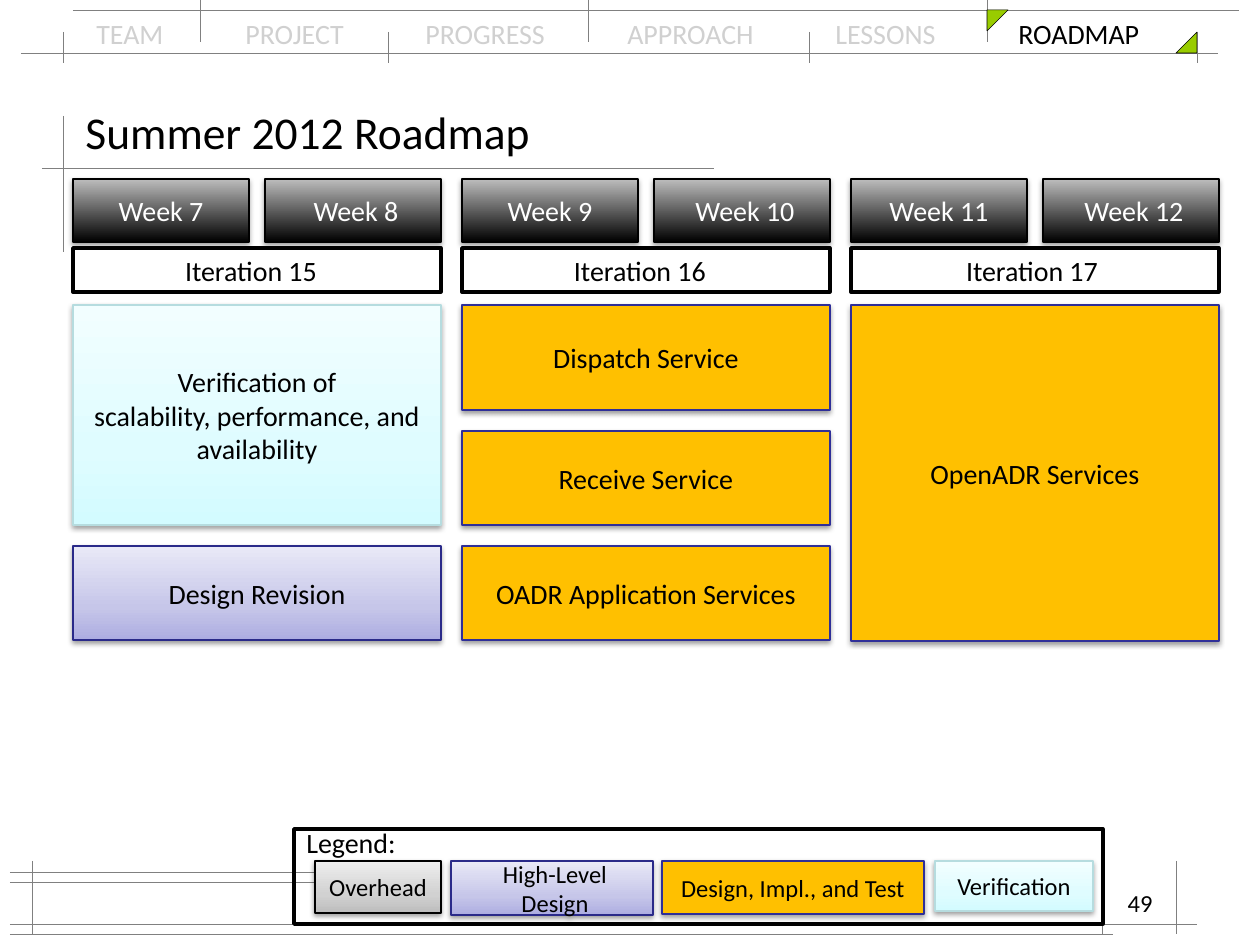
from copy import deepcopy
from dataclasses import dataclass

from lxml import etree
from pptx import Presentation
from pptx.dml.color import RGBColor
from pptx.enum.shapes import MSO_CONNECTOR, MSO_SHAPE
from pptx.enum.text import MSO_ANCHOR, PP_ALIGN
from pptx.oxml.ns import qn
from pptx.util import Emu, Pt


@dataclass(frozen=True)
class Theme:
    font: str = "Calibri"
    title: int = 26
    body: int = 16
    small: int = 14
    ink: str = "000000"
    paper: str = "FFFFFF"
    muted: str = "D0D0D0"
    rule: str = "808080"
    accent: str = "99CC00"


THEME = Theme()
STYLES = {
    "week": ([(0, "000000"), (1, "BDBDBD")], "000000", 0.75, THEME.paper),
    "iteration": (THEME.paper, THEME.ink, 2, THEME.ink),
    "frame": (None, THEME.ink, 2, THEME.ink),
    "overhead": ([(0, "BDBDBD"), (0.35, "D1D1D1"), (1, "EEEEEE")], "000000", 0.75, THEME.ink),
    "design": ([(0, "ADADE1"), (0.35, "C6C6E9"), (1, "E9E9F7")], "2A2A89", 0.75, THEME.ink),
    "build": ("FFC000", "2F2F98", 0.75, THEME.ink),
    "verify": ([(0, "D3FBFF"), (0.35, "DFFCFF"), (1, "F2FEFF")], "B6DCDF", 0.75, THEME.ink),
}
FLAT = ("iteration", "frame")

SECTIONS = [("TEAM", 0), ("PROJECT", 149), ("PROGRESS", 329),
            ("APPROACH", 531), ("LESSONS", 739), ("ROADMAP", 922)]
CURRENT_SECTION = "ROADMAP"
HORIZONTAL_RULES = [(53, 21, 1218), (10, 73, 1239), (168, 42, 714), (882, 10, 388),
                    (924, 10, 1197), (872, 10, 336), (934, 10, 1113)]
VERTICAL_RULES = [(63, 116, 252), (32, 861, 934), (1176, 861, 934), (1102, 892, 934)]
VERTICAL_RULES += [(x, 32, 63) for x in (63, 388, 809, 1197)]
VERTICAL_RULES += [(x, 0, 42) for x in (200, 588, 987)]
CORNERS = [(987, 10, "flipV"), (1176, 32, "flipH")]

ITERATIONS = [
    ("Iteration 15", -6, ["Week 7", "Week 8"], [
        ("Verification of\nscalability, performance, and availability", "verify", 305, 220),
        ("Design Revision", "design", 546, 94)]),
    ("Iteration 16", -6, ["Week 9", "Week 10"], [
        ("Dispatch Service", "build", 305, 105),
        ("Receive Service", "build", 431, 94),
        ("OADR Application Services", "build", 546, 94)]),
    ("Iteration 17", -3, ["Week 11", "Week 12"], [
        ("OpenADR Services", "build", 305, 336)]),
]
COLUMN_LEFT, COLUMN_STEP, COLUMN_WIDTH = 73, 389, 368
WEEK_STEP, WEEK_WIDTH = 192, 176
LEGEND = [("Overhead", "overhead", 315, 126, 52, 0),
          ("High-Level Design", "design", 451, 202, 54, 3),
          ("Design, Impl., and Test", "build", 662, 262, 53, 0),
          ("Verification", "verify", 935, 158, 50, 0)]
INSET = 13


def px(value):
    return Emu(round(value * 914400 / 126))


def rgb(value):
    return RGBColor.from_string(value)


def set_font(font, size, color=None):
    font.name, font.size = THEME.font, Pt(size)
    if color:
        font.color.rgb = rgb(color)


def write(frame, text, size, color, align):
    frame.text = text
    for paragraph in frame.paragraphs:
        paragraph.alignment = align
        set_font(paragraph.font, size, color)


def add_label(slide, text, box, size, align=PP_ALIGN.LEFT, anchor=MSO_ANCHOR.TOP, wrap=True):
    frame = slide.shapes.add_textbox(*map(px, box)).text_frame
    frame.word_wrap, frame.vertical_anchor = wrap, anchor
    write(frame, text, size, THEME.ink, align)


def add_rule(slide, x1, y1, x2, y2):
    rule = slide.shapes.add_connector(MSO_CONNECTOR.STRAIGHT, *map(px, (x1, y1, x2, y2)))
    rule.line.color.rgb, rule.line.width = rgb(THEME.rule), Pt(0.3)
    etree.SubElement(rule._element.spPr, qn("a:effectLst"))


def paint(shape, fill, line, width):
    shape.shadow.inherit = False
    shape.line.color.rgb, shape.line.width = rgb(line), Pt(width)
    if fill is None:
        shape.fill.background()
    elif isinstance(fill, str):
        shape.fill.solid()
        shape.fill.fore_color.rgb = rgb(fill)
    else:
        shape.fill.gradient()
        shape.fill.gradient_angle = 90
        stops = shape._element.spPr.find(qn("a:gradFill")).find(qn("a:gsLst"))
        while len(stops) < len(fill):
            stops.insert(1, deepcopy(stops[0]))
        for stop, (position, color) in zip(shape.fill.gradient_stops, fill):
            stop.position, stop.color.rgb = position, rgb(color)


def cast_shadow(shape):
    effects = shape._element.spPr.find(qn("a:effectLst"))
    shadow = etree.SubElement(effects, qn("a:outerShdw"), blurRad=str(Pt(3.1)),
                              dist=str(Pt(1.6)), dir="5400000", rotWithShape="0")
    color = etree.SubElement(shadow, qn("a:srgbClr"), val=THEME.ink)
    etree.SubElement(color, qn("a:alpha"), val="38000")


def add_block(slide, text, style, box, size=THEME.body, nudge=0):
    fill, line, width, ink = STYLES[style]
    block = slide.shapes.add_shape(MSO_SHAPE.RECTANGLE, *map(px, box))
    paint(block, fill, line, width)
    if style not in FLAT:
        cast_shadow(block)
    if text:
        frame = block.text_frame
        frame.word_wrap, frame.vertical_anchor = True, MSO_ANCHOR.MIDDLE
        frame.margin_left = px(INSET + max(2 * nudge, 0))
        frame.margin_right = px(INSET + max(-2 * nudge, 0))
        write(frame, text, size, ink, PP_ALIGN.CENTER)


def add_navigation(slide):
    frame = slide.shapes.add_textbox(*map(px, (84, 10, 1092, 47))).text_frame
    frame.word_wrap = True
    navigation = frame.paragraphs[0]
    tabs = etree.SubElement(navigation._p.get_or_add_pPr(), qn("a:tabLst"))
    for _, stop in SECTIONS[1:]:
        etree.SubElement(tabs, qn("a:tab"), pos=str(px(stop)), algn="l")
    set_font(navigation.font, THEME.body)
    for name, stop in SECTIONS:
        section = navigation.add_run()
        section.text = f"\t{name}" if stop else name
        section.font.color.rgb = rgb(THEME.ink if name == CURRENT_SECTION else THEME.muted)
    for y, x1, x2 in HORIZONTAL_RULES:
        add_rule(slide, x1, y, x2, y)
    for x, y1, y2 in VERTICAL_RULES:
        add_rule(slide, x, y1, x, y2)
    for x, y, flip in CORNERS:
        corner = slide.shapes.add_shape(MSO_SHAPE.RIGHT_TRIANGLE, *map(px, (x, y, 21, 21)))
        paint(corner, THEME.accent, THEME.ink, 0.3)
        corner._element.spPr.xfrm.set(flip, "1")


def add_roadmap(slide):
    for column, (iteration, nudge, weeks, tasks) in enumerate(ITERATIONS):
        left = COLUMN_LEFT + column * COLUMN_STEP
        for i, week in enumerate(weeks):
            add_block(slide, week, "week", (left + i * WEEK_STEP, 179, WEEK_WIDTH, 63), nudge=3 * i)
        add_block(slide, iteration, "iteration", (left, 248, COLUMN_WIDTH, 44), nudge=nudge)
        for task, style, top, height in tasks:
            add_block(slide, task, style, (left, top, COLUMN_WIDTH, height))


def add_legend(slide):
    add_block(slide, "", "frame", (294, 829, 809, 95))
    for entry, style, left, width, height, nudge in LEGEND:
        add_block(slide, entry, style, (left, 861, width, height), THEME.small, nudge)
    add_label(slide, "Legend:", (294, 819, 116, 47), THEME.body, wrap=False)


def main():
    deck = Presentation()
    deck.slide_width, deck.slide_height = px(1260), px(945)
    slide = deck.slides.add_slide(deck.slide_layouts[6])
    add_navigation(slide)
    add_label(slide, "49", (903, 882, 262, 63), THEME.small, PP_ALIGN.RIGHT)
    add_roadmap(slide)
    add_label(slide, "Summer 2012 Roadmap", (73, 94, 1113, 74), THEME.title, anchor=MSO_ANCHOR.MIDDLE)
    add_legend(slide)
    deck.save("out.pptx")


if __name__ == "__main__":
    main()
